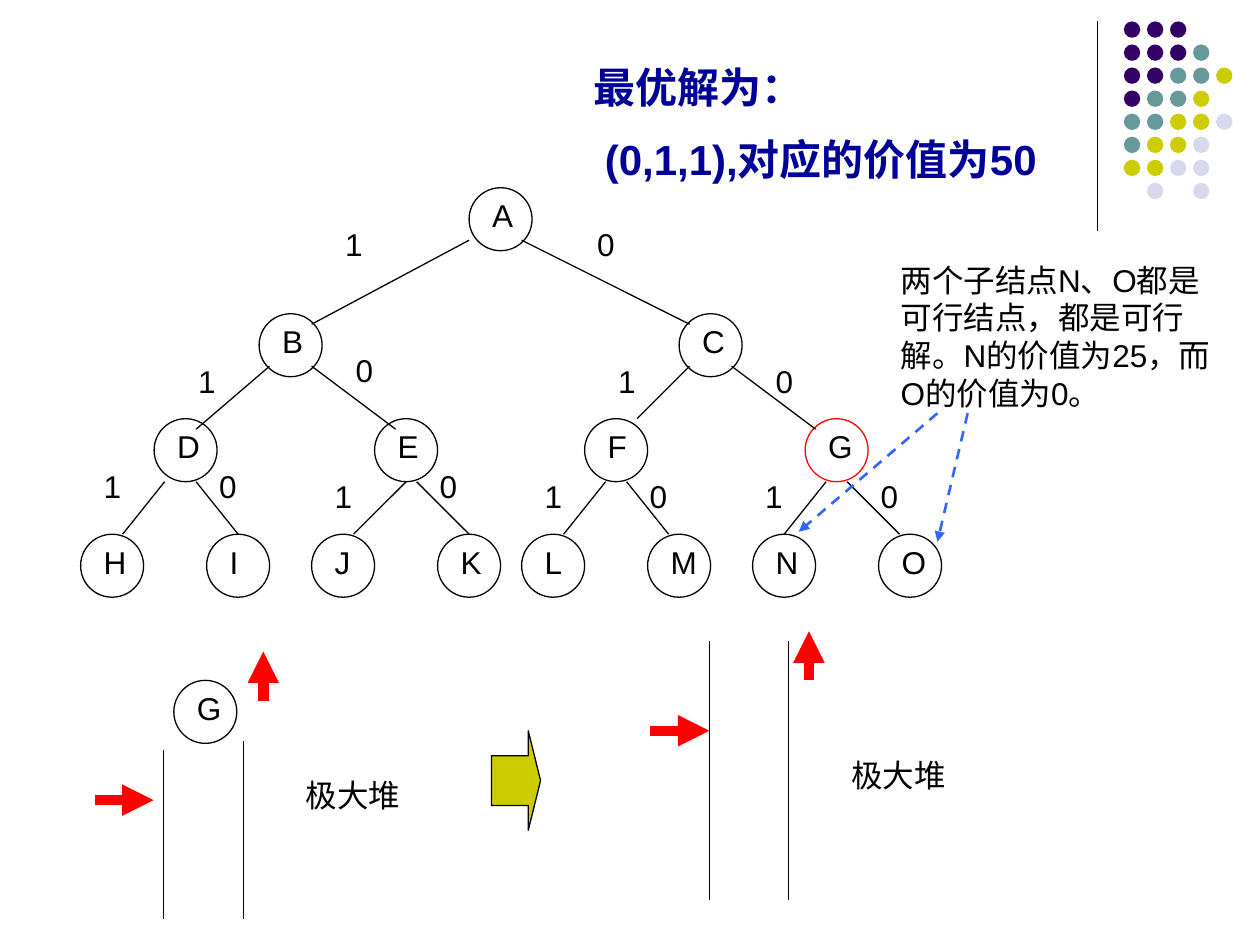
from lxml.etree import SubElement
from pptx import Presentation
from pptx.dml.color import RGBColor
from pptx.enum.dml import MSO_LINE
from pptx.enum.shapes import MSO_CONNECTOR, MSO_SHAPE
from pptx.enum.text import MSO_AUTO_SIZE, PP_ALIGN
from pptx.oxml.ns import qn
from pptx.util import Inches, Pt

COLORS = {
    "ink": "000000", "title": "000099", "red": "FF0000", "blue": "3366FF",
    "purple": "330066", "teal": "669999", "olive": "CCCC00", "pale": "D8D8EC",
}
DOT_COLORS = {"P": "purple", "T": "teal", "O": "olive", "L": "pale"}
DOT_ROWS = ["PPP", "PPPT", "PPTTO", "PTTO", "TTOOL", "TOOL", "OOLL", " L L"]
DOT_LEFT, DOT_TOP, DOT_PITCH, DOT_SIZE = 8.92, 0.17, 0.183, 0.13

TREE_LEFT, TREE_TOP, UNIT = 0.64, 1.49, 1 / 12
NODE_SIZE = 0.5
LEVELS = [
    (0, {"A": 37}),
    (12, {"B": 17, "C": 57}),
    (22, {"D": 7, "E": 28, "F": 48, "G": 69}),
    (33, {"H": 0, "I": 12, "J": 22, "K": 34, "L": 42, "M": 54, "N": 64, "O": 76}),
]
EDGES = [
    (37, 5, 22, 13), (42, 5, 58, 13),
    (18, 17, 11, 23), (22, 17, 30, 23), (58, 17, 53, 22), (62, 17, 70, 23),
    (8, 28, 4, 33), (11, 28, 15, 33), (31, 28, 26, 33), (32, 28, 37, 33),
    (50, 28, 46, 33), (52, 28, 56, 33), (71, 28, 67, 33), (73, 28, 78, 33),
]
BRANCH_LABELS = {
    "1": [(24, 3), (10, 16), (50, 16), (1, 26), (23, 27), (43, 27), (64, 27)],
    "0": [(48, 3), (25, 15), (65, 16), (12, 26), (33, 26), (53, 27), (75, 27)],
}


def rgb(name):
    return RGBColor.from_string(COLORS[name])


def tree_point(column, row):
    return TREE_LEFT + column * UNIT, TREE_TOP + row * UNIT


def add_text(slide, left, top, width, height, lines, size=18, color="ink",
             bold=False, align=PP_ALIGN.LEFT):
    frame = slide.shapes.add_textbox(
        Inches(left), Inches(top), Inches(width), Inches(height)).text_frame
    frame.word_wrap = True
    frame.auto_size = MSO_AUTO_SIZE.SHAPE_TO_FIT_TEXT
    for index, line in enumerate(lines):
        paragraph = frame.add_paragraph() if index else frame.paragraphs[0]
        paragraph.text = line
        paragraph.alignment = align
        if index:
            paragraph.space_before = Pt(size / 2)
        paragraph.font.name = "Arial"
        paragraph.font.size = Pt(size)
        paragraph.font.bold = bold
        paragraph.font.color.rgb = rgb(color)


def add_symbol(slide, left, top, symbol):
    add_text(slide, left, top, 0.42, 0.4, [symbol])


def add_figure(slide, preset, left, top, width, height, fill=None, line=None):
    figure = slide.shapes.add_shape(
        preset, Inches(left), Inches(top), Inches(width), Inches(height))
    figure.shadow.inherit = False
    if fill:
        figure.fill.solid()
        figure.fill.fore_color.rgb = rgb(fill)
    else:
        figure.fill.background()
    if line:
        figure.line.color.rgb = rgb(line)
        figure.line.width = Pt(0.75)
    else:
        figure.line.fill.background()
    return figure


def add_line(slide, start, end, color="ink", width=0.75, dashed=False, arrow=False):
    ends = [Inches(length) for length in (*start, *end)]
    connector = slide.shapes.add_connector(MSO_CONNECTOR.STRAIGHT, *ends)
    connector.line.color.rgb = rgb(color)
    connector.line.width = Pt(width)
    if dashed:
        connector.line.dash_style = MSO_LINE.DASH
    properties = connector.element.spPr
    if arrow:
        SubElement(properties.find(qn("a:ln")), qn("a:tailEnd"), type="triangle")
    SubElement(properties, qn("a:effectLst"))


def add_node(slide, left, top, letter, outline="ink"):
    add_figure(slide, MSO_SHAPE.OVAL, left, top, NODE_SIZE, NODE_SIZE, line=outline)
    add_symbol(slide, left + UNIT, top + 0.02, letter)


def add_dot_corner(slide):
    add_line(slide, (8.71, 0.17), (8.71, 1.83))
    for row, codes in enumerate(DOT_ROWS):
        for column, code in enumerate(codes):
            if code in DOT_COLORS:
                add_figure(slide, MSO_SHAPE.OVAL, DOT_LEFT + column * DOT_PITCH,
                           DOT_TOP + row * DOT_PITCH, DOT_SIZE, DOT_SIZE,
                           fill=DOT_COLORS[code])


def add_tree(slide):
    for row, nodes in LEVELS:
        for letter, column in nodes.items():
            add_node(slide, *tree_point(column, row), letter,
                     "red" if letter == "G" else "ink")
    for start_column, start_row, end_column, end_row in EDGES:
        add_line(slide, tree_point(start_column, start_row),
                 tree_point(end_column, end_row))
    for digit, places in BRANCH_LABELS.items():
        for place in places:
            add_symbol(slide, *tree_point(*place), digit)


def add_heap(slide, walls, pointer_y, marker, caption):
    for x, top, bottom in walls:
        add_line(slide, (x, top), (x, bottom))
    wall_x = walls[0][0]
    marker_x, marker_y = marker
    pointers = [
        ((wall_x - 0.55, pointer_y), (wall_x - 0.08, pointer_y)),
        ((marker_x, marker_y + 0.39), (marker_x, marker_y)),
    ]
    if pointer_y == 5.8:
        pointers[0] = ((wall_x - 0.47, pointer_y), (wall_x, pointer_y))
    for start, end in pointers:
        add_line(slide, start, end, "red", 6, arrow=True)
    add_text(slide, *caption, 1.26, 0.4, ["极大堆"], align=PP_ALIGN.CENTER)


def main():
    presentation = Presentation()
    presentation.slide_width, presentation.slide_height = Inches(10), Inches(7.5)
    slide = presentation.slides.add_slide(presentation.slide_layouts[6])

    add_dot_corner(slide)
    add_tree(slide)
    add_text(slide, 4.61, 0.44, 3.78, 1.1,
             ["最优解为：", " (0,1,1),对应的价值为50"], 24, "title", True)

    add_heap(slide, [(1.3, 5.95, 7.29), (1.93, 5.88, 7.29)], 6.35,
             (2.09, 5.17), (2.17, 6.11))
    add_node(slide, 1.38, 5.4, "G")
    step_arrow = add_figure(slide, MSO_SHAPE.RIGHT_ARROW, 3.9, 5.8, 0.39, 0.79,
                            "olive", "ink")
    step_arrow.adjustments[0] = 0.5
    step_arrow.adjustments[1] = 0.25
    add_heap(slide, [(5.63, 5.09, 7.14), (6.26, 5.09, 7.14)], 5.8,
             (6.42, 5.01), (6.5, 5.95))

    add_text(slide, 7.05, 2.02, 2.68, 1.3,
             ["两个子结点N、O都是可行结点，都是可行解。N的价值为25，而O的价值为0。"])
    for start, leaf in [((7.44, 3.28), (6.34, 4.22)), ((7.68, 3.28), (7.44, 4.3))]:
        add_line(slide, start, leaf, "blue", 1.5, dashed=True, arrow=True)

    presentation.save("out.pptx")


if __name__ == "__main__":
    main()
